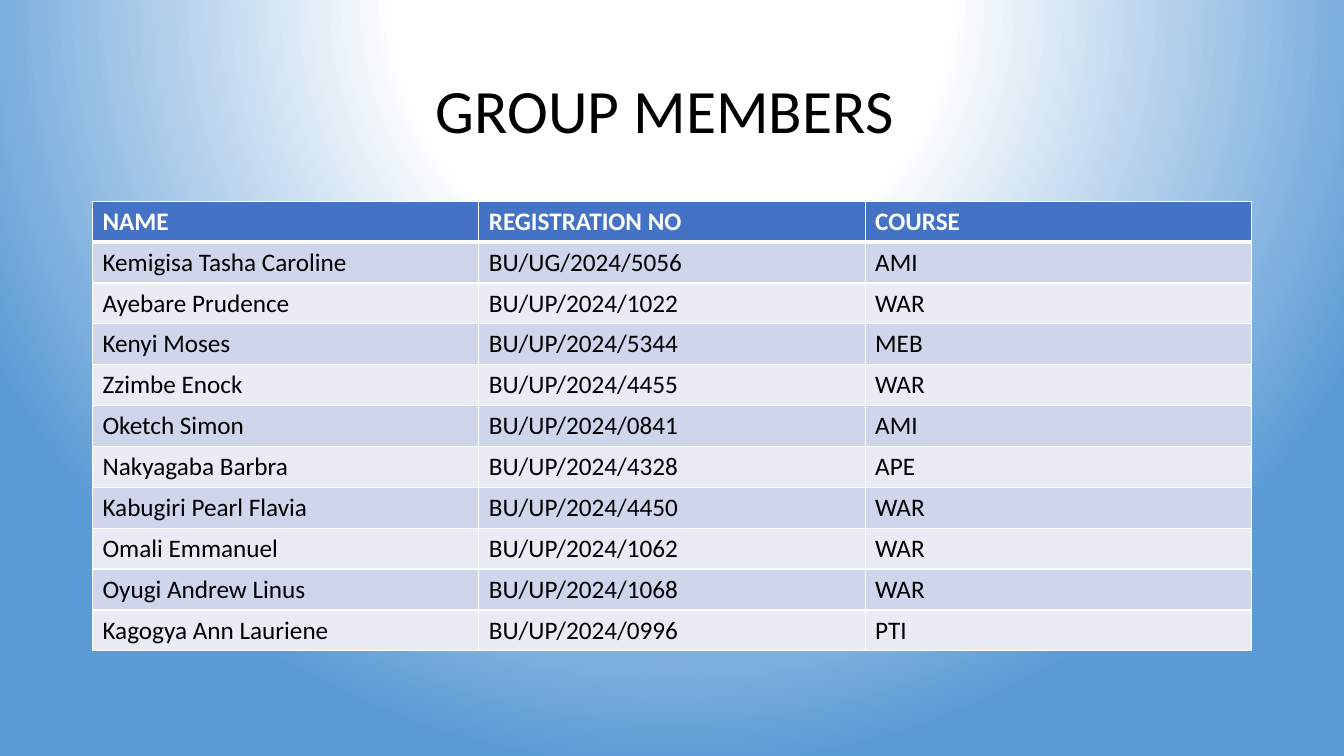
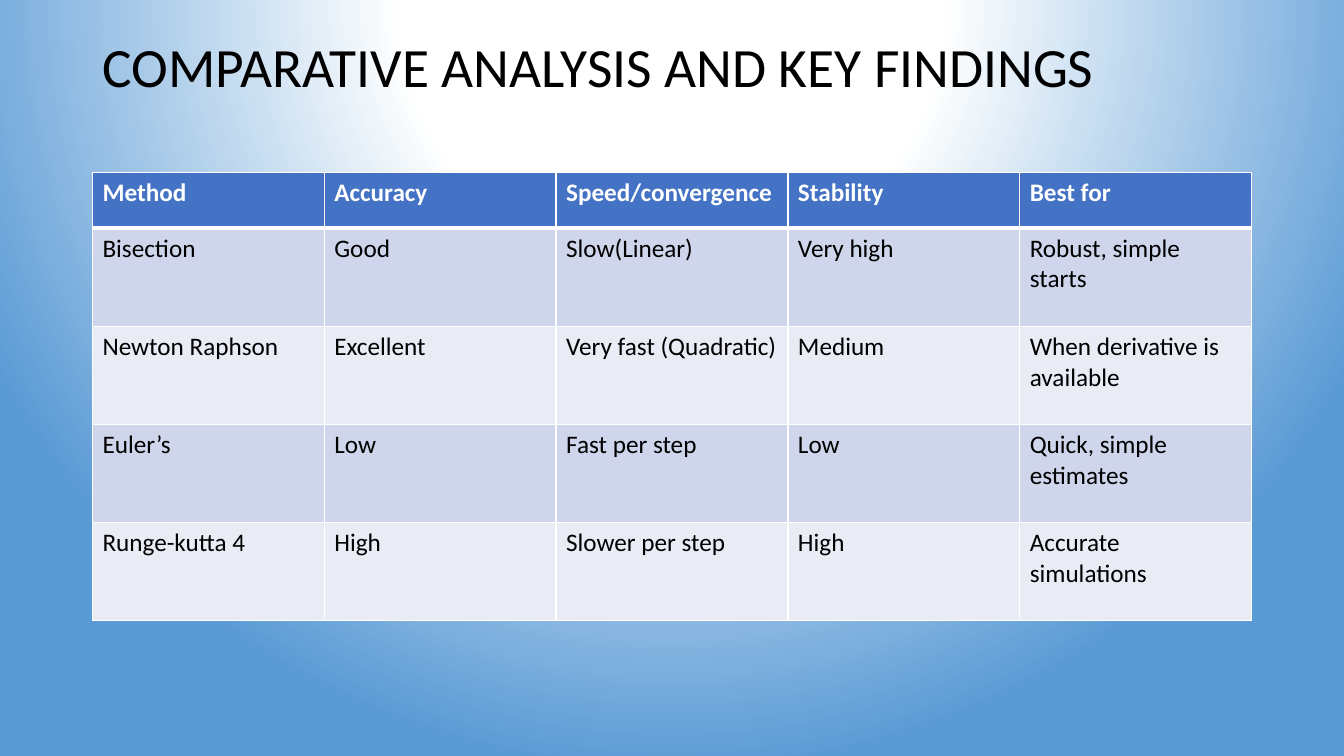
import pptx
import pptx.util
import pptx.dml.color
import pptx.enum.text
import pptx.oxml.ns
from lxml import etree

Cm = pptx.util.Cm
Pt = pptx.util.Pt
RGBColor = pptx.dml.color.RGBColor
PP_ALIGN = pptx.enum.text.PP_ALIGN
MSO_ANCHOR = pptx.enum.text.MSO_ANCHOR
qn = pptx.oxml.ns.qn

FONT = "Calibri"
BLACK = RGBColor(0x00, 0x00, 0x00)
WHITE = RGBColor(0xFF, 0xFF, 0xFF)
SKY = RGBColor(0x5B, 0x9B, 0xD5)
HEADER_BLUE = RGBColor(0x44, 0x72, 0xC4)
BAND_DARK = RGBColor(0xCF, 0xD5, 0xEA)
BAND_LIGHT = RGBColor(0xE9, 0xEB, 0xF5)

LEFT = Cm(2.33)
CONTENT_WIDTH = Cm(29.21)
TITLE_TOP = Cm(1.01)

SLIDES = [
    {
        "title": "GROUP MEMBERS ",
        "title_size": Pt(44),
        "title_height": Cm(3.68),
        "align": PP_ALIGN.CENTER,
        "anchor": MSO_ANCHOR.MIDDLE,
        "table_top": Cm(5.07),
        "header_height": Cm(1.03),
        "row_height": Cm(1.03),
        "rows": [
            ("NAME", "REGISTRATION NO", "COURSE"),
            ("Kemigisa Tasha Caroline", "BU/UG/2024/5056", "AMI"),
            ("Ayebare Prudence", "BU/UP/2024/1022", "WAR"),
            ("Kenyi Moses", "BU/UP/2024/5344", "MEB"),
            ("Zzimbe Enock", "BU/UP/2024/4455", "WAR"),
            ("Oketch Simon", "BU/UP/2024/0841", "AMI"),
            ("Nakyagaba Barbra", "BU/UP/2024/4328", "APE"),
            ("Kabugiri Pearl Flavia", "BU/UP/2024/4450", "WAR"),
            ("Omali Emmanuel", "BU/UP/2024/1062", "WAR"),
            ("Oyugi Andrew Linus", "BU/UP/2024/1068", "WAR"),
            ("Kagogya Ann Lauriene", "BU/UP/2024/0996", "PTI"),
        ],
    },
    {
        "title": "COMPARATIVE ANALYSIS AND KEY FINDINGS",
        "title_size": Pt(39.6),
        "title_height": Cm(3.05),
        "align": PP_ALIGN.LEFT,
        "anchor": MSO_ANCHOR.TOP,
        "table_top": Cm(4.34),
        "header_height": Cm(1.41),
        "row_height": Cm(2.47),
        "rows": [
            ("Method", "Accuracy", "Speed/convergence", "Stability", "Best for"),
            ("Bisection", "Good", "Slow(Linear)", "Very high", "Robust, simple starts"),
            ("Newton Raphson", "Excellent", "Very fast (Quadratic)", "Medium",
             "When derivative is available"),
            ("Euler’s", "Low", "Fast per step", "Low", "Quick, simple estimates"),
            ("Runge-kutta 4", "High", "Slower per step", "High", "Accurate simulations"),
        ],
    },
]


def add_solid_fill(parent, color):
    fill = etree.SubElement(parent, qn("a:solidFill"))
    etree.SubElement(fill, qn("a:srgbClr"), val=str(color))


def style_cell(cell, row_index):
    """Give a cell its borders, fill and font according to its row."""
    is_header = row_index == 0
    properties = cell._tc.get_or_add_tcPr()
    thick_side = {0: "lnB", 1: "lnT"}.get(row_index)
    for side in ("lnL", "lnR", "lnT", "lnB"):
        width = Pt(3) if side == thick_side else Pt(1)
        border = etree.SubElement(properties, qn("a:" + side), w=str(width))
        add_solid_fill(border, WHITE)
    cell.fill.solid()
    if is_header:
        cell.fill.fore_color.rgb = HEADER_BLUE
    else:
        cell.fill.fore_color.rgb = BAND_DARK if row_index % 2 else BAND_LIGHT
    font = cell.text_frame.paragraphs[0].runs[0].font
    font.name = FONT
    font.size = Pt(18)
    font.bold = is_header
    font.color.rgb = WHITE if is_header else BLACK


presentation = pptx.Presentation()
presentation.slide_width = Cm(33.87)
presentation.slide_height = Cm(19.05)

# Shared background: a radial glow from above the slide
master = presentation.slide_master
master.background.fill.gradient()
gradient = master.element.find(".//" + qn("a:gradFill"))
for child in list(gradient):
    gradient.remove(child)
stops = etree.SubElement(gradient, qn("a:gsLst"))
for percent, color in ((0, WHITE), (35, WHITE), (100, SKY)):
    stop = etree.SubElement(stops, qn("a:gs"), pos=str(percent * 1000))
    etree.SubElement(stop, qn("a:srgbClr"), val=str(color))
circle = etree.SubElement(gradient, qn("a:path"), path="circle")
etree.SubElement(circle, qn("a:fillToRect"), l="50000", t="-80000", r="50000", b="180000")

title_only = presentation.slide_layouts[5]
for content in SLIDES:
    slide = presentation.slides.add_slide(title_only)

    title = slide.shapes.title
    title.left, title.top = LEFT, TITLE_TOP
    title.width, title.height = CONTENT_WIDTH, content["title_height"]
    frame = title.text_frame
    frame.text = content["title"]
    frame.auto_size = pptx.enum.text.MSO_AUTO_SIZE.NONE
    frame.vertical_anchor = content["anchor"]
    frame.margin_top = frame.margin_bottom = 0
    paragraph = frame.paragraphs[0]
    paragraph.alignment = content["align"]
    paragraph.line_spacing = 0.9
    font = paragraph.runs[0].font
    font.name = FONT
    font.size = content["title_size"]
    font.color.rgb = BLACK

    rows = content["rows"]
    header_height, row_height = content["header_height"], content["row_height"]
    table_height = header_height + row_height * (len(rows) - 1)
    table = slide.shapes.add_table(
        len(rows), len(rows[0]), LEFT, content["table_top"], CONTENT_WIDTH, table_height
    ).table
    for row_index, values in enumerate(rows):
        table.rows[row_index].height = row_height if row_index else header_height
        for column_index, value in enumerate(values):
            cell = table.cell(row_index, column_index)
            cell.text_frame.text = value
            style_cell(cell, row_index)

presentation.save("out.pptx")
